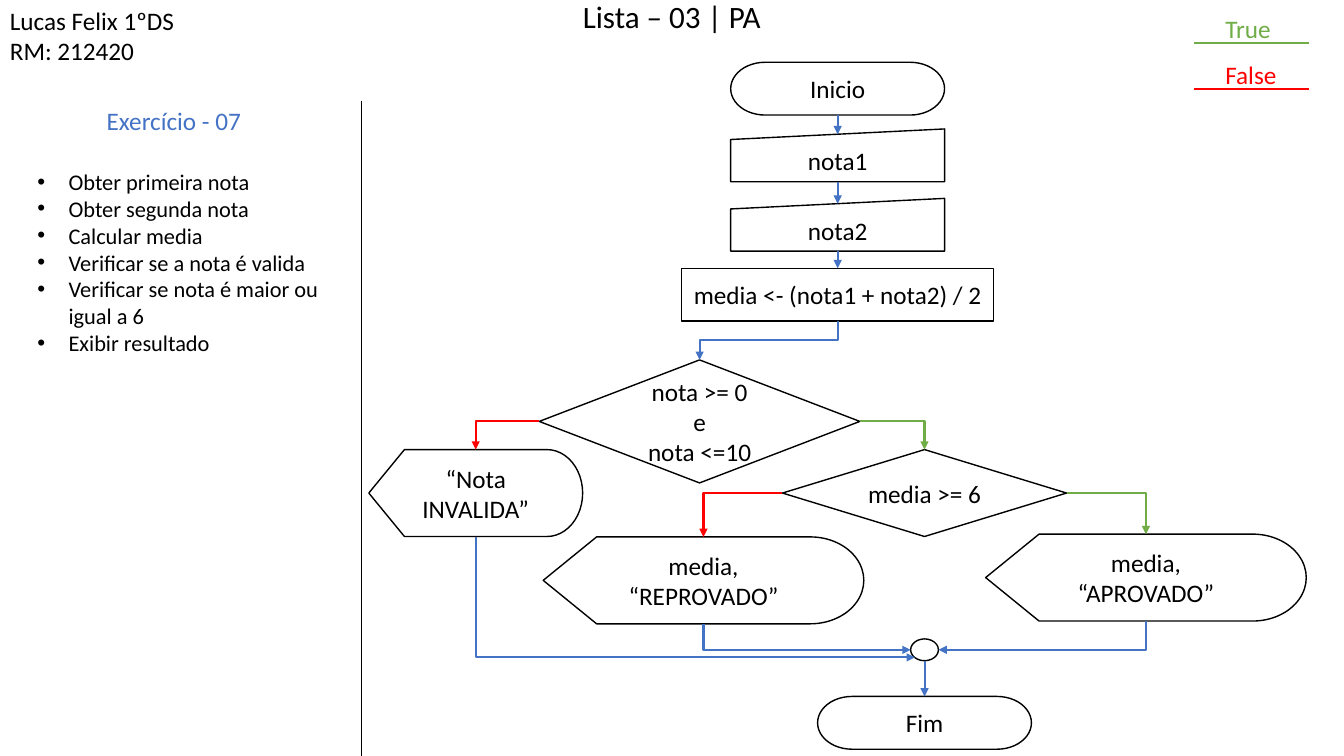
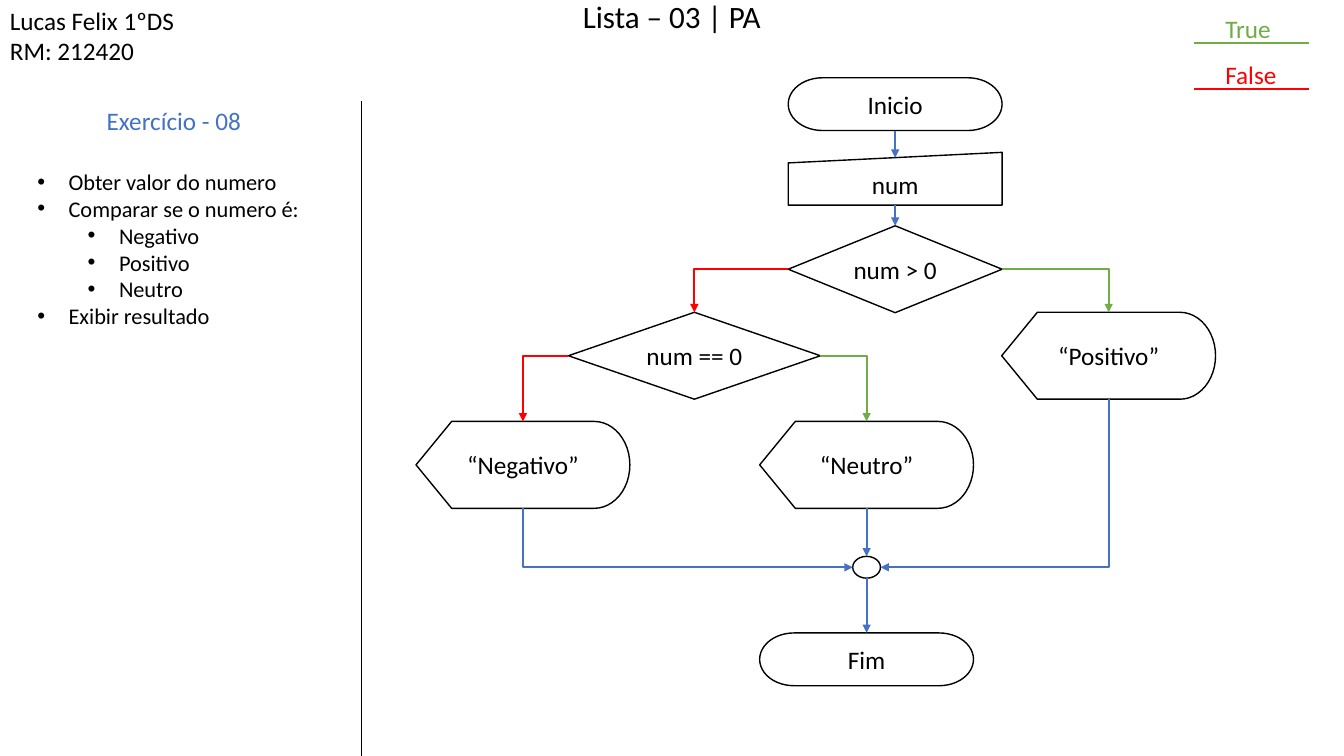
from lxml import etree
from pptx import Presentation
from pptx.dml.color import RGBColor
from pptx.enum.shapes import MSO_CONNECTOR, MSO_SHAPE
from pptx.enum.text import MSO_ANCHOR, MSO_AUTO_SIZE, PP_ALIGN
from pptx.oxml.ns import qn
from pptx.util import Cm, Pt

STRAIGHT, ELBOW = MSO_CONNECTOR.STRAIGHT, MSO_CONNECTOR.ELBOW
LEFT, CENTER = PP_ALIGN.LEFT, PP_ALIGN.CENTER
TOP, MIDDLE = MSO_ANCHOR.TOP, MSO_ANCHOR.MIDDLE
FIXED = MSO_AUTO_SIZE.NONE

BLACK, BLUE, GREEN, RED = "000000", "4472C4", "70AD47", "FF0000"
FONT = "Calibri"
TITLE = "Lista – 03 | PA"
AUTHOR = "Lucas Felix 1ºDS\nRM: 212420"
LEGEND = [("True", GREEN, 0.2, 1.09), ("False", RED, 1.37, 2.24)]

# Kind of step: preset shape, usual width, usual height
KINDS = {
    "end": (MSO_SHAPE.FLOWCHART_TERMINATOR, 5.39, 1.33),
    "input": (MSO_SHAPE.FLOWCHART_MANUAL_INPUT, 5.39, 1.33),
    "process": (MSO_SHAPE.RECTANGLE, 7.87, 1.33),
    "decision": (MSO_SHAPE.FLOWCHART_DECISION, 5.39, 2.19),
    "display": (MSO_SHAPE.FLOWCHART_DISPLAY, 5.39, 2.19),
    "join": (MSO_SHAPE.OVAL, 0.7, 0.55),
}
# Where an arrow meets a step, as fractions of its width and height
SITES = {
    "top": (0.5, 0), "slant": (0.5, 0.1), "bottom": (0.5, 1),
    "left": (0, 0.5), "right": (1, 0.5), "lower left": (0.15, 0.85),
}

# Steps: name, kind, centre x, top, text, then width and height if unusual
# Arrows: first step, its site, next step, its site, colour
EXERCISES = [
    {
        "heading": "Exercício - 07",
        "tasks": [
            ("Obter primeira nota", 0), ("Obter segunda nota", 0),
            ("Calcular media", 0), ("Verificar se a nota é valida", 0),
            ("Verificar se nota é maior ou igual a 6", 0),
            ("Exibir resultado", 0),
        ],
        "steps": [
            ("start", "end", 21.11, 1.57, "Inicio"),
            ("grade 1", "input", 21.11, 3.25, "nota1"),
            ("grade 2", "input", 21.11, 5, "nota2"),
            ("mean", "process", 21.11, 6.76, "media <- (nota1 + nota2) / 2"),
            ("valid", "decision", 17.63, 9.07, "nota >= 0\ne\nnota <=10", 8.08, 3.1),
            ("invalid", "display", 11.99, 11.33, "“Nota INVALIDA”"),
            ("passed", "decision", 23.3, 11.33, "media >= 6", 7.16),
            ("approved", "display", 28.88, 13.46, "media, “APROVADO”", 8.08),
            ("failed", "display", 17.73, 13.53, "media,\n“REPROVADO”", 8.08),
            ("join", "join", 23.3, 16.1, ""),
            ("finish", "end", 23.3, 17.55, "Fim"),
        ],
        "arrows": [
            ("start", "bottom", "grade 1", "slant", BLUE),
            ("grade 1", "bottom", "grade 2", "slant", BLUE),
            ("grade 2", "bottom", "mean", "top", BLUE),
            ("mean", "bottom", "valid", "top", BLUE),
            ("valid", "left", "invalid", "top", RED),
            ("valid", "right", "passed", "top", GREEN),
            ("passed", "left", "failed", "top", RED),
            ("passed", "right", "approved", "top", GREEN),
            ("invalid", "bottom", "join", "lower left", BLUE),
            ("failed", "bottom", "join", "left", BLUE),
            ("approved", "bottom", "join", "right", BLUE),
            ("join", "bottom", "finish", "top", BLUE),
        ],
    },
    {
        "heading": "Exercício - 08",
        "tasks": [
            ("Obter valor do numero", 0), ("Comparar se o numero é:", 0),
            ("Negativo", 1), ("Positivo", 1), ("Neutro", 1),
            ("Exibir resultado", 0),
        ],
        "steps": [
            ("start", "end", 22.56, 1.96, "Inicio"),
            ("number", "input", 22.56, 3.84, "num"),
            ("above zero", "decision", 22.56, 5.69, "num > 0"),
            ("positive", "display", 27.94, 7.87, "“Positivo”"),
            ("zero", "decision", 17.5, 7.87, "num == 0", 6.35),
            ("neutral", "display", 21.84, 10.62, "“Neutro”"),
            ("negative", "display", 13.18, 10.62, "“Negativo”"),
            ("join", "join", 21.84, 14.02, ""),
            ("finish", "end", 21.84, 15.95, "Fim"),
        ],
        "arrows": [
            ("start", "bottom", "number", "slant", BLUE),
            ("number", "bottom", "above zero", "top", BLUE),
            ("above zero", "right", "positive", "top", GREEN),
            ("above zero", "left", "zero", "top", RED),
            ("zero", "right", "neutral", "top", GREEN),
            ("zero", "left", "negative", "top", RED),
            ("neutral", "bottom", "join", "top", BLUE),
            ("negative", "bottom", "join", "left", BLUE),
            ("positive", "bottom", "join", "right", BLUE),
            ("join", "bottom", "finish", "top", BLUE),
        ],
    },
]


def write(box, text, size=18, color=BLACK, align=LEFT, anchor=TOP):
    """Fill a box with one paragraph per line of text and return its paragraphs."""
    frame = box.text_frame
    frame.word_wrap = True
    frame.auto_size = FIXED
    frame.vertical_anchor = anchor
    for index, line in enumerate(text.split("\n")):
        para = frame.add_paragraph() if index else frame.paragraphs[0]
        para.alignment = align
        span = para.add_run()
        span.text = line
        span.font.name = FONT
        span.font.size = Pt(size)
        span.font.color.rgb = RGBColor.from_string(color)
    return frame.paragraphs


def draw_line(page, kind, start, end, color, width=1.5):
    """Draw a connector without shadow between two points given in cm."""
    points = [Cm(value) for value in (*start, *end)]
    line = page.shapes.add_connector(kind, *points)
    line.line.color.rgb = RGBColor.from_string(color)
    line.line.width = Pt(width)
    etree.SubElement(line._element.spPr, qn("a:effectLst"))
    return line


deck = Presentation()
deck.slide_width, deck.slide_height = Cm(33.87), Cm(19.05)
title_only = deck.slide_layouts[5]

for exercise in EXERCISES:
    page = deck.slides.add_slide(title_only)

    # Title, author and legend
    title = page.shapes.title
    title.left, title.top, title.width, title.height = Cm(13.59), Cm(0), Cm(6.68), Cm(1.07)
    write(title, TITLE, 22.2, align=CENTER)[0].line_spacing = 0.8
    write(page.shapes.add_textbox(Cm(0), Cm(0), Cm(5.59), Cm(1.8)), AUTHOR)
    for label, color, top, underline in LEGEND:
        box = page.shapes.add_textbox(Cm(30.63), Cm(top), Cm(3.2), Cm(1.02))
        write(box, label, color=color)
        draw_line(page, STRAIGHT, (30.1, underline), (32.99, underline), color)

    # Task list beside the divider
    draw_line(page, STRAIGHT, (9.12, 2.54), (9.12, 19.05), BLACK, 0.5)
    heading = page.shapes.add_textbox(Cm(2.44), Cm(2.54), Cm(5.59), Cm(1.02))
    write(heading, exercise["heading"], color=BLUE)
    tasks = exercise["tasks"]
    task_list = page.shapes.add_textbox(Cm(0.69), Cm(4.11), Cm(8.41), Cm(5.05))
    paras = write(task_list, "\n".join(task for task, level in tasks), 16)
    for para, (task, level) in zip(paras, tasks):
        para.level = level
        properties = para._p.get_or_add_pPr()
        properties.set("marL", str(Cm(0.79 + 1.27 * level)))
        properties.set("indent", str(Cm(-0.79)))
        etree.SubElement(properties, qn("a:buFont")).set("typeface", "Arial")
        etree.SubElement(properties, qn("a:buChar")).set("char", "•")

    # Steps of the flowchart
    places = {}
    for name, kind, center, top, text, *size in exercise["steps"]:
        preset, *usual = KINDS[kind]
        width, height = size + usual[len(size):]
        left = center - width / 2
        places[name] = left, top, width, height
        box = page.shapes.add_shape(preset, Cm(left), Cm(top), Cm(width), Cm(height))
        box.shadow.inherit = False
        box.fill.background()
        box.line.color.rgb = RGBColor.from_string(BLACK)
        box.line.width = Pt(1)
        if text:
            write(box, text, align=CENTER, anchor=MIDDLE)

    # Arrows: straight, one corner, or two corners halfway down
    for first, first_site, second, second_site, color in exercise["arrows"]:
        ends = []
        for name, site in ((first, first_site), (second, second_site)):
            left, top, width, height = places[name]
            across, down = SITES[site]
            ends.append((left + across * width, top + down * height))
        (x1, y1), (x2, y2) = ends
        straight = abs(x1 - x2) < 0.01
        turned = first_site == "bottom" and not straight
        if turned:
            # A path that starts downwards is a sideways one turned by 90 degrees
            x, y, run, rise = (x1 + x2) / 2, (y1 + y2) / 2, (x2 - x1) / 2, (y2 - y1) / 2
            ends = [(x - rise, y + run), (x + rise, y - run)]
        arrow = draw_line(page, STRAIGHT if straight else ELBOW, *ends, color)
        shape_properties = arrow._element.spPr
        if turned:
            shape_properties.xfrm.set("rot", "5400000")
        if not straight and not (turned and second_site == "top"):
            shape_properties.prstGeom.set("prst", "bentConnector2")
        etree.SubElement(arrow.line._get_or_add_ln(), qn("a:tailEnd")).set("type", "triangle")

deck.save("out.pptx")
